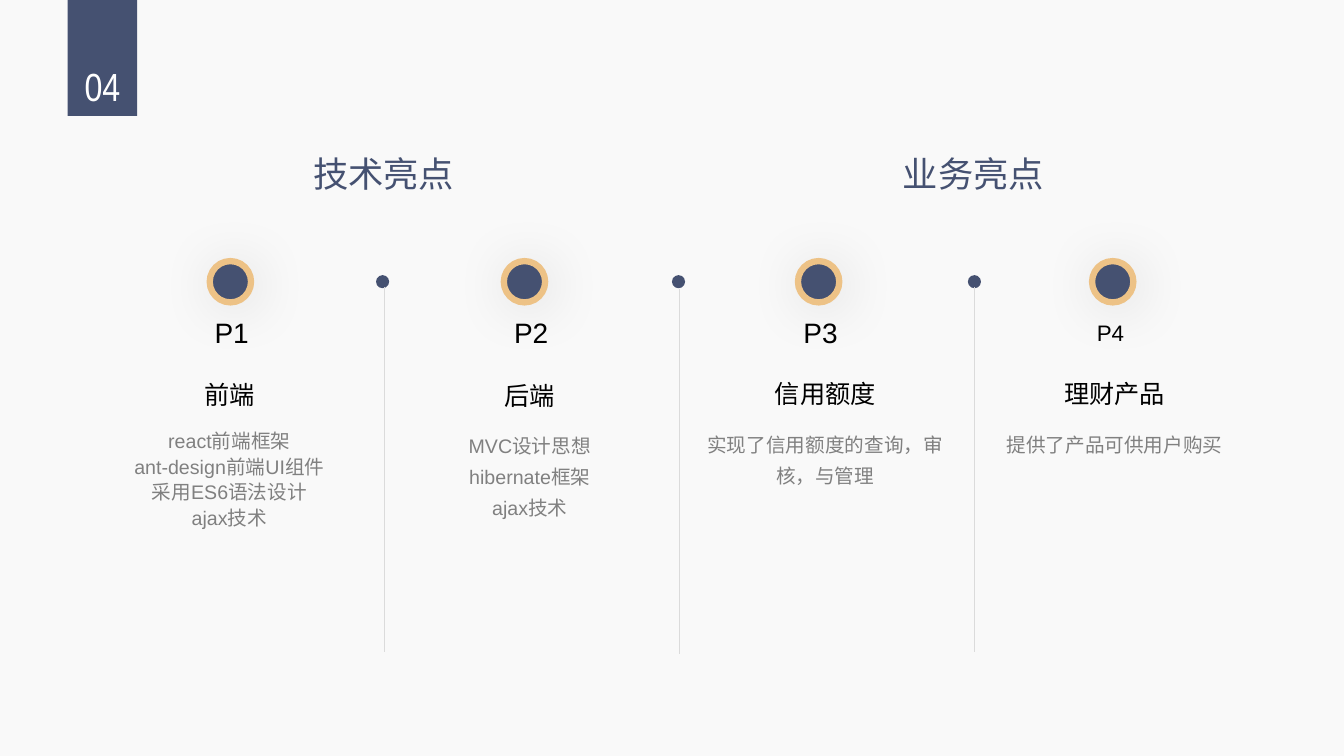
"""Build a slide of technical and business highlights in four columns."""
from dataclasses import dataclass

from lxml import etree
from pptx import Presentation
from pptx.dml.color import RGBColor
from pptx.enum.shapes import MSO_CONNECTOR, MSO_SHAPE
from pptx.enum.text import MSO_ANCHOR, PP_ALIGN
from pptx.oxml import parse_xml
from pptx.oxml.ns import nsdecls, qn
from pptx.util import Inches, Pt

RECTANGLE, OVAL = MSO_SHAPE.RECTANGLE, MSO_SHAPE.OVAL
STRAIGHT = MSO_CONNECTOR.STRAIGHT
LEFT, CENTER = PP_ALIGN.LEFT, PP_ALIGN.CENTER
TOP, MIDDLE = MSO_ANCHOR.TOP, MSO_ANCHOR.MIDDLE


@dataclass(frozen=True)
class Theme:
    background: RGBColor = RGBColor.from_string("F9F9F9")
    navy: RGBColor = RGBColor.from_string("455171")
    gold: RGBColor = RGBColor.from_string("EDC286")
    divider: RGBColor = RGBColor.from_string("DBDBDB")
    black: RGBColor = RGBColor.from_string("000000")
    gray: RGBColor = RGBColor.from_string("808080")
    white: RGBColor = RGBColor.from_string("FFFFFF")
    font: str = "Arial"
    number_font: str = "Arial Narrow"
    number: float = 28
    heading: float = 25.2
    label: float = 20
    small_label: float = 16
    subheading: float = 18
    body: float = 14


theme = Theme()
MARKER_SHADOW = (
    f'<a:effectLst {nsdecls("a")}><a:outerShdw blurRad="{Pt(40)}" dist="{Pt(4)}" '
    'dir="2700000" algn="tl" rotWithShape="0"><a:srgbClr val="000000">'
    '<a:alpha val="11000"/></a:srgbClr></a:outerShdw></a:effectLst>'
)

presentation = Presentation()
presentation.slide_width = Inches(13.33)
presentation.slide_height = Inches(7.5)
slide = presentation.slides.add_slide(presentation.slide_layouts[6])
slide.background.fill.solid()
slide.background.fill.fore_color.rgb = theme.background


def add_filled_shape(kind, left, top, width, height):
    shape = slide.shapes.add_shape(
        kind, Inches(left), Inches(top), Inches(width), Inches(height))
    shape.shadow.inherit = False
    shape.fill.solid()
    shape.fill.fore_color.rgb = theme.navy
    shape.line.fill.background()
    return shape


def add_text(lines, box, size, color, font=theme.font, align=CENTER,
             anchor=TOP, spacing=1.0, right_margin=0.1):
    text_box = slide.shapes.add_textbox(*[Inches(length) for length in box])
    frame = text_box.text_frame
    frame.word_wrap = True
    frame.margin_right = Inches(right_margin)
    frame.vertical_anchor = anchor
    for index, line in enumerate(lines):
        paragraph = frame.add_paragraph() if index else frame.paragraphs[0]
        paragraph.alignment = align
        paragraph.line_spacing = spacing
        run = paragraph.add_run()
        run.text = line
        run.font.name = font
        run.font.size = Pt(size)
        run.font.color.rgb = color


add_filled_shape(RECTANGLE, 0.67, 0, 0.69, 1.15)
add_text(["04"], (0.67, 0.57, 0.69, 0.57), theme.number, theme.white,
         font=theme.number_font)

for heading, left in (("技术亮点", 2.05), ("业务亮点", 7.9)):
    add_text([heading], (left, 1.46, 3.51, 0.57), theme.heading, theme.navy)

for index, line_top in enumerate((2.85, 2.87, 2.85)):
    add_filled_shape(OVAL, 3.73 + 2.935 * index, 2.73, 0.13, 0.13)
    line_left = Inches(3.81 + 2.925 * index)
    divider = slide.shapes.add_connector(
        STRAIGHT, line_left, Inches(line_top), line_left, Inches(line_top + 3.62))
    divider.line.color.rgb = theme.divider
    divider.line.width = Pt(0.5)
    etree.SubElement(divider._element.spPr, qn("a:effectLst"))

columns = [
    ("P1", 2.03, theme.label, "前端", 0.94, 3.69, 4.18, 1.17, 1.1,
     ["react前端框架", "ant-design前端UI组件", "采用ES6语法设计", "ajax技术"]),
    ("P2", 5.0, theme.label, "后端", 3.92, 3.7, 4.19, 1.32, 1.3,
     ["MVC设计思想", "hibernate框架", "ajax技术"]),
    ("P3", 7.87, theme.label, "信用额度", 6.85, 3.68, 4.18, 0.71, 1.3,
     ["实现了信用额度的查询，审核，与管理"]),
    ("P4", 10.78, theme.small_label, "理财产品", 9.72, 3.68, 4.18, 0.71, 1.3,
     ["提供了产品可供用户购买"]),
]
for index, (label, label_left, label_size, subheading, left, subheading_top,
            body_top, body_height, spacing, body) in enumerate(columns):
    marker = add_filled_shape(OVAL, 2.08 + 2.917 * index, 2.59, 0.41, 0.41)
    marker.line.color.rgb = theme.gold
    marker.line.width = Pt(4.5)
    properties = marker._element.spPr
    properties.replace(properties.find(qn("a:effectLst")), parse_xml(MARKER_SHADOW))

    add_text([label], (label_left, 3.08, 0.5, 0.44), label_size, theme.black,
             align=LEFT, anchor=MIDDLE, right_margin=0)
    add_text([subheading], (left, subheading_top, 2.67, 0.44), theme.subheading,
             theme.black, anchor=MIDDLE)
    add_text(body, (left, body_top, 2.67, body_height), theme.body, theme.gray,
             spacing=spacing)

presentation.save("out.pptx")
